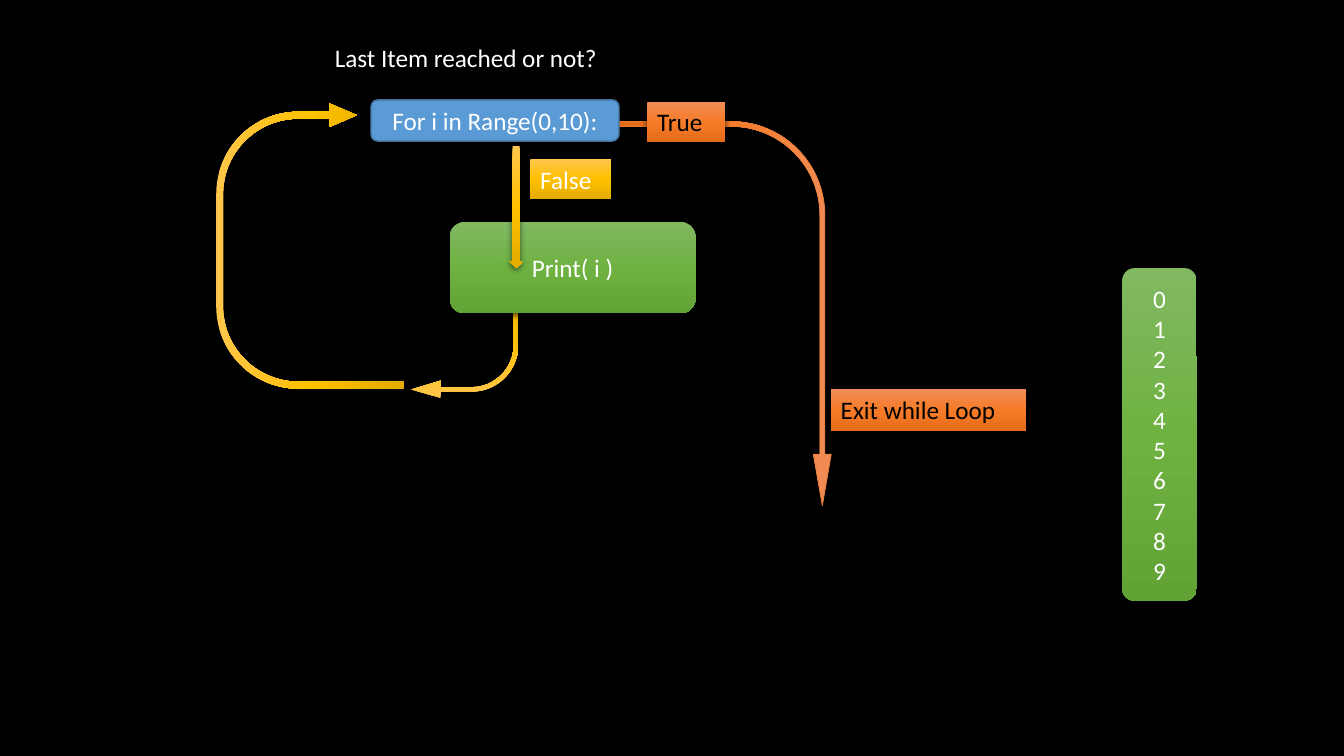
from copy import deepcopy
from dataclasses import dataclass
from typing import Optional

from lxml import etree
from pptx import Presentation
from pptx.dml.color import RGBColor
from pptx.enum.shapes import MSO_SHAPE
from pptx.enum.text import MSO_ANCHOR, MSO_AUTO_SIZE, PP_ALIGN
from pptx.oxml.ns import qn
from pptx.util import Inches, Pt

BENT_ARROW = MSO_SHAPE.BENT_ARROW
DOWN_ARROW = MSO_SHAPE.DOWN_ARROW
U_TURN_ARROW = MSO_SHAPE.U_TURN_ARROW
PROCESS = MSO_SHAPE.FLOWCHART_ALTERNATE_PROCESS
RECTANGLE = MSO_SHAPE.RECTANGLE
LEFT, CENTER = PP_ALIGN.LEFT, PP_ALIGN.CENTER
TOP, MIDDLE = MSO_ANCHOR.TOP, MSO_ANCHOR.MIDDLE

BLACK = RGBColor(0x00, 0x00, 0x00)
WHITE = RGBColor(0xFF, 0xFF, 0xFF)
BLUE = RGBColor(0x5B, 0x9B, 0xD5)
DARK_BLUE = RGBColor(0x43, 0x73, 0x9E)
ORANGE_LINE = RGBColor(0xED, 0x7D, 0x31)
GOLD = (RGBColor(0xFF, 0xC6, 0x4B), RGBColor(0xFF, 0xC0, 0x00), RGBColor(0xE3, 0xAB, 0x00))
ORANGE = (RGBColor(0xF1, 0x8C, 0x57), RGBColor(0xF6, 0x7B, 0x28), RGBColor(0xE5, 0x6C, 0x19))
GREEN = (RGBColor(0x81, 0xB8, 0x61), RGBColor(0x6F, 0xB2, 0x42), RGBColor(0x62, 0xA3, 0x36))


@dataclass
class Part:
    """One piece of the flow chart; box is left, top, width, height in inches."""
    kind: MSO_SHAPE
    box: tuple[float, float, float, float]
    colors: tuple[RGBColor, ...]
    text: str = ""
    text_color: RGBColor = WHITE
    rotation: float = 0
    adjustments: tuple[float, ...] = ()
    line_color: Optional[RGBColor] = None
    line_width: float = 0
    shadow: bool = True


PARTS = [
    Part(BENT_ARROW, (4.08, 2.69, 1.06, 1.26), GOLD, rotation=180,
         adjustments=(0.042, 0.082, 0.273, 0.438)),
    Part(BENT_ARROW, (5.28, 2.05, 3.81, 2.12), ORANGE, rotation=90,
         adjustments=(0.023, 0.042, 0.24, 0.438),
         line_color=ORANGE_LINE, line_width=0.5, shadow=False),
    Part(PROCESS, (3.68, 0.99, 2.46, 0.41), (BLUE,), "For i in Range(0,10):",
         line_color=DARK_BLUE, line_width=1, shadow=False),
    Part(RECTANGLE, (6.42, 1.01, 0.77, 0.4), ORANGE, "True", BLACK),
    Part(PROCESS, (4.46, 2.2, 2.44, 0.91), GREEN, "Print( i )"),
    Part(RECTANGLE, (5.26, 1.58, 0.8, 0.4), GOLD, "False"),
    Part(DOWN_ARROW, (5.05, 1.45, 0.14, 1.21), GOLD),
    Part(RECTANGLE, (8.24, 3.86, 1.94, 0.42), ORANGE, "Exit while Loop", BLACK),
    Part(U_TURN_ARROW, (1.66, 1.51, 2.83, 1.86), GOLD, rotation=270,
         adjustments=(0.037, 0.063, 0.147, 0.438, 0.75)),
    Part(PROCESS, (11.13, 2.66, 0.74, 3.3), GREEN, "\n".join(str(i) for i in range(10))),
]


def write_text(shape, text: str, *, color: RGBColor = WHITE, size: float = 18,
               font: str = "Calibri", align: PP_ALIGN = LEFT,
               anchor: MSO_ANCHOR = TOP) -> None:
    frame = shape.text_frame
    frame.word_wrap = True
    frame.auto_size = MSO_AUTO_SIZE.NONE
    frame.vertical_anchor = anchor
    frame.text = text
    for para in frame.paragraphs:
        para.alignment = align
        for span in para.runs:
            span.font.name = font
            span.font.size = Pt(size)
            span.font.color.rgb = color


def paint(shape, colors: tuple[RGBColor, ...]) -> None:
    """Fill with one solid colour, or with three from top to bottom."""
    if len(colors) == 1:
        shape.fill.solid()
        shape.fill.fore_color.rgb = colors[0]
        return
    shape.fill.gradient()
    shape.fill.gradient_angle = 270
    stop_list = shape._element.spPr.find(".//" + qn("a:gsLst"))
    stop_list.insert(1, deepcopy(stop_list[0]))
    for stop, color, position in zip(shape.fill.gradient_stops, colors, (0, 0.5, 1)):
        stop.color.rgb = color
        stop.position = position


def add_shadow(shape) -> None:
    effects = shape._element.spPr.find(qn("a:effectLst"))
    outer = etree.SubElement(effects, qn("a:outerShdw"), blurRad=str(Pt(4.5)),
                             dist=str(Pt(1.5)), dir="5400000", algn="ctr", rotWithShape="0")
    color = etree.SubElement(outer, qn("a:srgbClr"), val=str(BLACK))
    etree.SubElement(color, qn("a:alpha"), val="63000")


def draw_part(page, part: Part) -> None:
    shape = page.shapes.add_shape(part.kind, *map(Inches, part.box))
    shape.rotation = part.rotation
    for index, value in enumerate(part.adjustments):
        shape.adjustments[index] = value
    paint(shape, part.colors)
    if part.line_color is None:
        shape.line.fill.background()
    else:
        shape.line.color.rgb = part.line_color
        shape.line.width = Pt(part.line_width)
    shape.shadow.inherit = False
    if part.shadow:
        add_shadow(shape)
    if part.text:
        is_label = part.kind == RECTANGLE
        write_text(shape, part.text, color=part.text_color,
                   align=LEFT if is_label else CENTER,
                   anchor=TOP if is_label else MIDDLE)


def main() -> None:
    deck = Presentation()
    deck.slide_width, deck.slide_height = Inches(13.33), Inches(7.5)
    page = deck.slides.add_slide(deck.slide_layouts[5])
    page.background.fill.solid()
    page.background.fill.fore_color.rgb = BLACK

    title = page.shapes.title
    title.left, title.top, title.width, title.height = map(Inches, (3.22, 0.37, 2.9, 0.4))
    write_text(title, "Last Item reached or not?")

    for part in PARTS:
        draw_part(page, part)
    deck.save("out.pptx")


if __name__ == "__main__":
    main()
